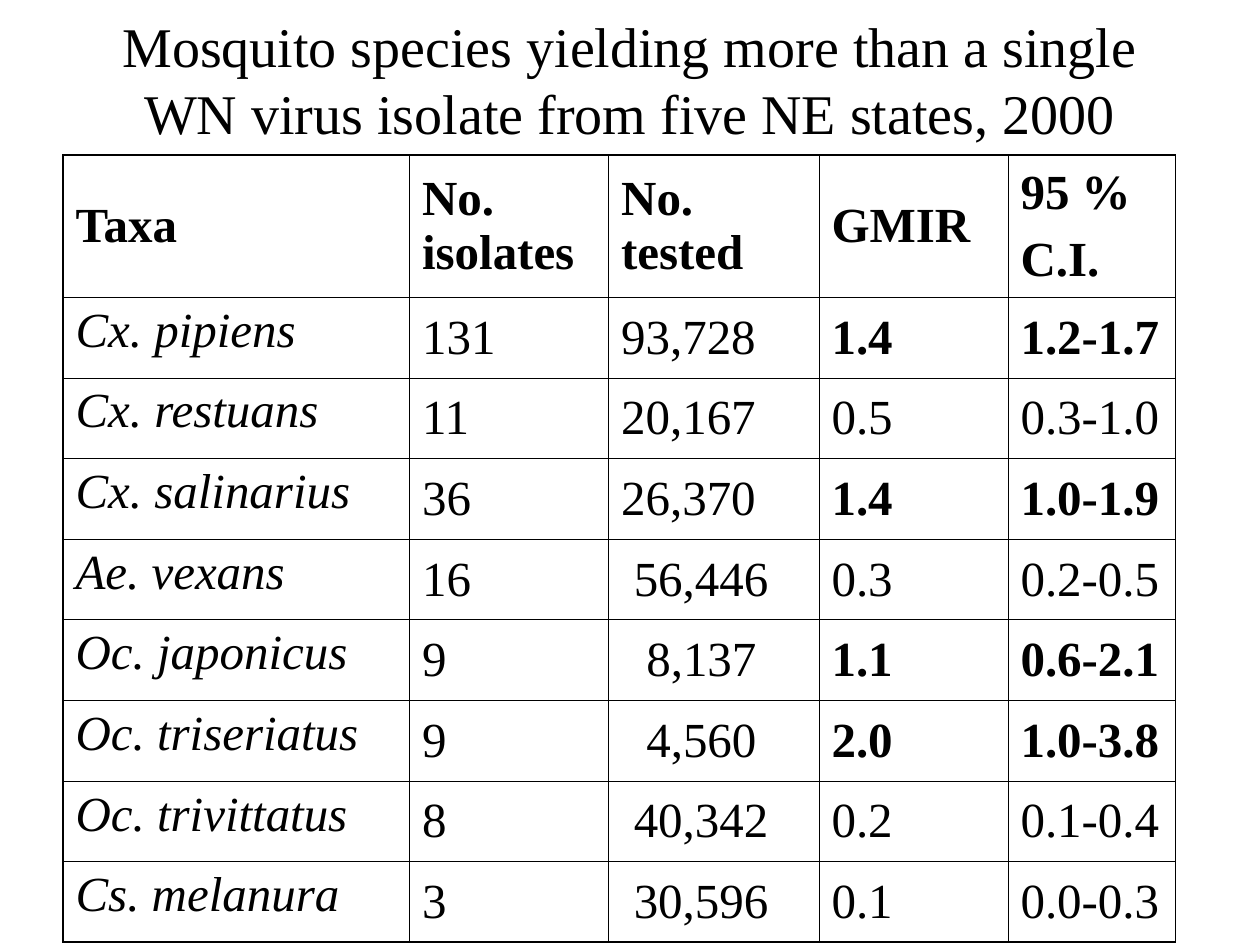
from pptx import Presentation
from pptx.dml.color import RGBColor
from pptx.enum.text import MSO_ANCHOR, PP_ALIGN
from pptx.oxml.ns import qn
from pptx.util import Inches, Pt
from lxml import etree

TOP, MIDDLE = MSO_ANCHOR.TOP, MSO_ANCHOR.MIDDLE
CENTER = PP_ALIGN.CENTER

COLORS = {"text": "000000", "line": "000000"}
FONT = "Times New Roman"
TITLE = ("Mosquito species yielding more than a single "
         "WN virus isolate from five NE states, 2000")
HEADS = ["Taxa", "No. isolates", "No. tested", "GMIR", "95 %\nC.I."]
ROWS = [
    ["Cx. pipiens", "131", "93,728", "1.4", "1.2-1.7"],
    ["Cx. restuans", "11", "20,167", "0.5", "0.3-1.0"],
    ["Cx. salinarius", "36", "26,370", "1.4", "1.0-1.9"],
    ["Ae. vexans", "16", "56,446", "0.3", "0.2-0.5"],
    ["Oc. japonicus", "9", "8,137", "1.1", "0.6-2.1"],
    ["Oc. triseriatus", "9", "4,560", "2.0", "1.0-3.8"],
    ["Oc. trivittatus", "8", "40,342", "0.2", "0.1-0.4"],
    ["Cs. melanura", "3", "30,596", "0.1", "0.0-0.3"],
]
WIDTHS = [2.75, 1.58, 1.67, 1.5, 1.33]
HEAD_H, ROW_H = 1.13, 0.64
TESTED, GMIR = 2, 3
# Steps of indent in the "No. tested" column, by row
STEPS = [0, 0, 0, 1, 2, 2, 1, 1]
STEP = 0.1
THIN, THICK = 0.45, 1.08


def set_font(para, size, bold=False, italic=False):
    font = para.font
    font.name, font.size = FONT, Pt(size)
    font.bold, font.italic = bold, italic
    font.color.rgb = RGBColor.from_string(COLORS["text"])


def add_title(slide):
    title = slide.shapes.title
    title.left, title.top = Inches(0.75), Inches(0)
    title.width, title.height = Inches(8.5), Inches(1.25)
    frame = title.text_frame
    frame.text = TITLE
    frame.vertical_anchor = MIDDLE
    para = frame.paragraphs[0]
    para.alignment = CENTER
    set_font(para, 32)


def set_edges(cell, outer):
    """Draw all four borders, thick on the sides named in outer."""
    props = cell._tc.get_or_add_tcPr()
    for side in "LRTB":
        width = Pt(THICK if side in outer else THIN)
        line = etree.SubElement(props, qn(f"a:ln{side}"), w=str(width))
        fill = etree.SubElement(line, qn("a:solidFill"))
        etree.SubElement(fill, qn("a:srgbClr"), val=COLORS["line"])


def fill_cell(cell, text, outer, bold, italic, indent):
    set_edges(cell, outer)
    cell.fill.background()
    cell.margin_left = Inches(0.1 + indent)
    cell.vertical_anchor = TOP if italic else MIDDLE
    cell.text = text
    for i, para in enumerate(cell.text_frame.paragraphs):
        para.space_before = Pt(7 if i else 0)
        set_font(para, 28, bold, italic)


def add_grid(slide):
    data = [HEADS] + ROWS
    heights = [HEAD_H] + [ROW_H] * len(ROWS)
    table = slide.shapes.add_table(
        len(data), len(HEADS), Inches(0.5), Inches(1.23),
        Inches(sum(WIDTHS)), Inches(sum(heights))).table
    table.first_row = table.horz_banding = False
    for col, width in zip(table.columns, WIDTHS):
        col.width = Inches(width)
    for row, height in zip(table.rows, heights):
        row.height = Inches(height)
    for r, texts in enumerate(data):
        for c, text in enumerate(texts):
            edges = {"L": c == 0, "R": c == len(HEADS) - 1,
                     "T": r == 0, "B": r == len(ROWS)}
            outer = [side for side, on in edges.items() if on]
            bold = r == 0 or (c >= GMIR and float(texts[GMIR]) >= 1)
            indent = STEP * STEPS[r - 1] if r and c == TESTED else 0
            fill_cell(table.cell(r, c), text, outer, bold,
                      r > 0 and c == 0, indent)


def main():
    deck = Presentation()
    deck.slide_width, deck.slide_height = Inches(10), Inches(7.5)
    slide = deck.slides.add_slide(deck.slide_layouts[5])
    add_title(slide)
    add_grid(slide)
    deck.save("out.pptx")


if __name__ == "__main__":
    main()
